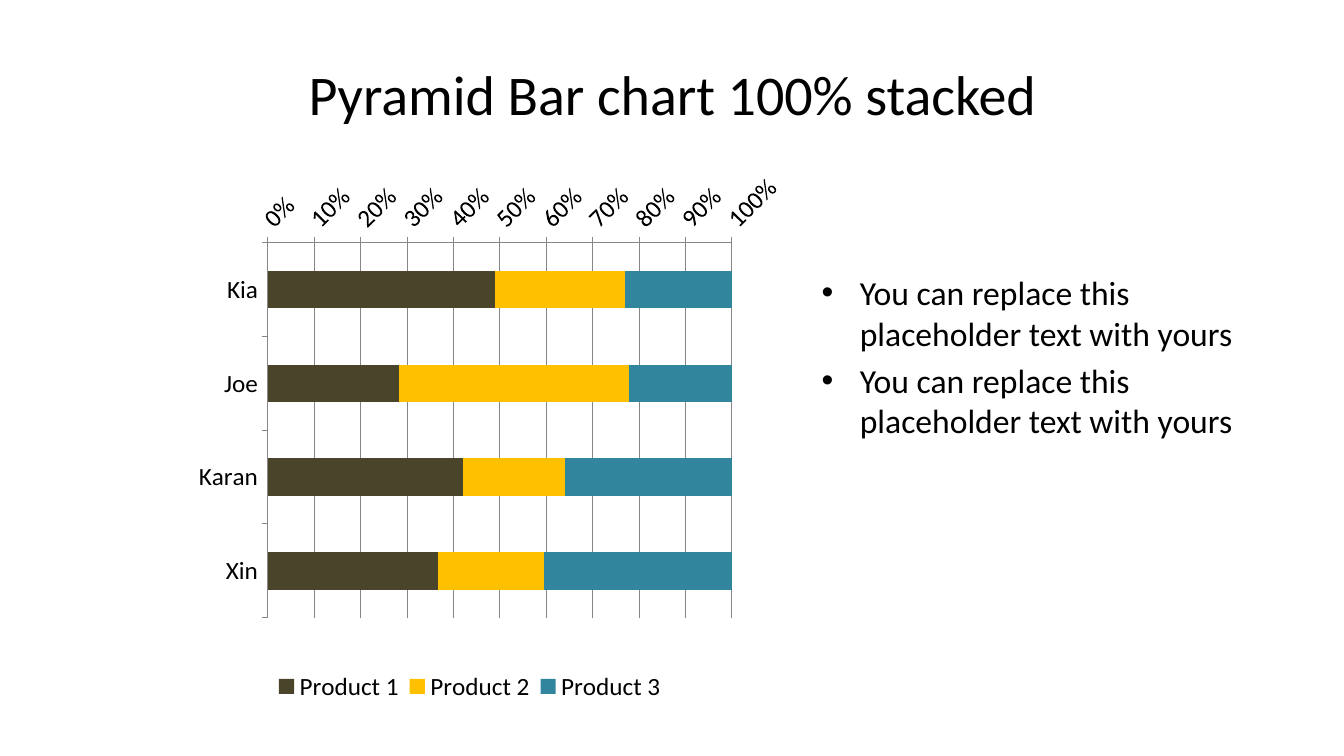
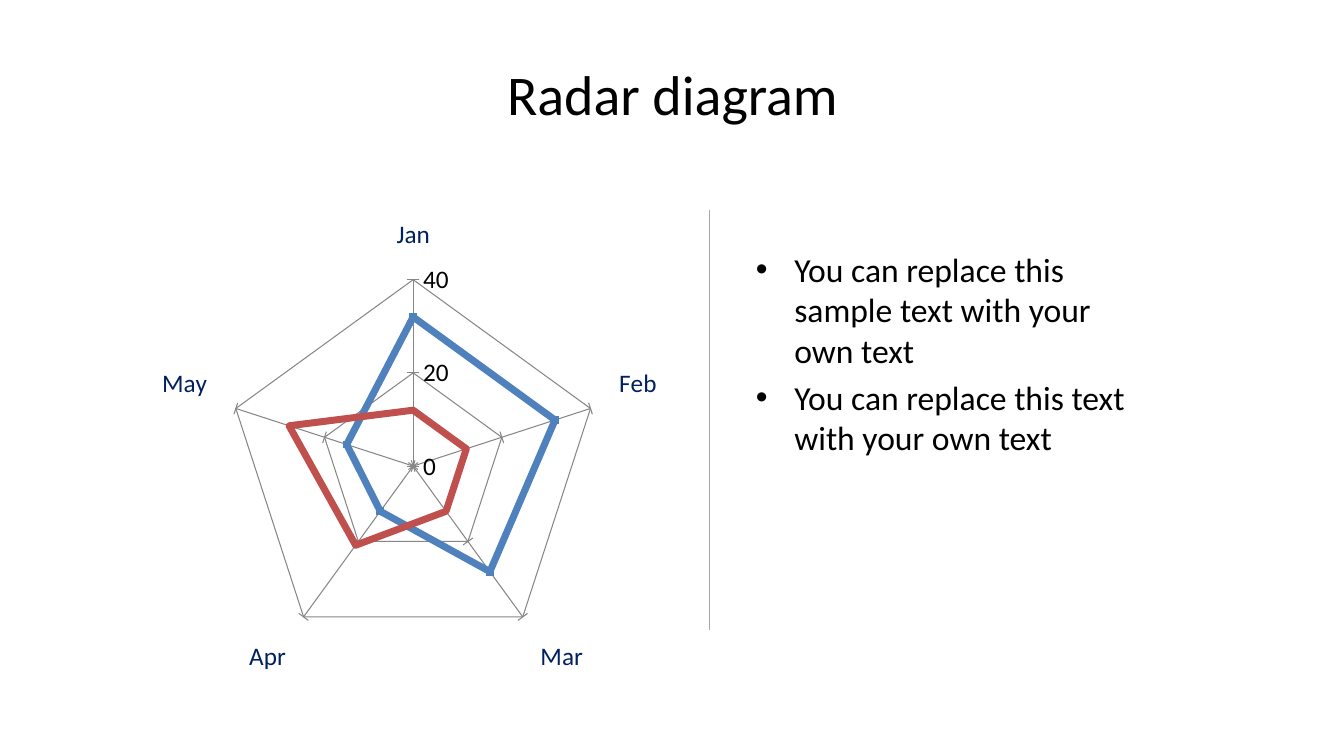
from lxml import etree
from pptx import Presentation
from pptx import util as u
from pptx.chart.data import CategoryChartData
from pptx.dml.color import RGBColor
from pptx.enum import chart as ch, shapes, text
from pptx.oxml.ns import qn

COLORS = {k: RGBColor.from_string(v) for k, v in {
    "black": "000000", "grid": "868686", "divider": "A6A6A6", "navy": "002060",
    "olive": "4A452A", "gold": "FFC000", "teal": "31859C",
    "blue": "4F81BD", "red": "C0504D"}.items()}
FONT = "Calibri"

SLIDES = [
    {"title": "Pyramid Bar chart 100% stacked",
     "points": ["You can replace this placeholder text with yours"] * 2,
     "points_at": (8.05, 2.65, 4.28, 4.12),
     "chart": ch.XL_CHART_TYPE.BAR_STACKED_100,
     "chart_at": (1.19, 1.71, 6.67, 5.31),
     "categories": ["Kia", "Joe", "Karan", "Xin"],
     "series": [("Product 1", (49, 28, 42, 37), "olive"),
                ("Product 2", (28, 49, 22, 23), "gold"),
                ("Product 3", (23, 22, 36, 41), "teal")]},
    {"title": "Radar diagram",
     "points": ["You can replace this sample text with your own text",
                "You can replace this text with your own text"],
     "points_at": (7.4, 2.42, 4.1, 3.83),
     "chart": ch.XL_CHART_TYPE.RADAR_MARKERS,
     "chart_at": (0.55, 2.08, 7.02, 4.68),
     "categories": ["Jan", "Feb", "Mar", "Apr", "May"],
     "series": [("Series 1", (32, 32, 28, 12, 15), "blue"),
                ("Series 2", (12, 12, 12, 21, 28), "red")]},
]


def add_text(slide, at, lines, size, bulleted=False):
    frame = slide.shapes.add_textbox(*map(u.Inches, at)).text_frame
    frame.word_wrap = True
    if not bulleted:
        frame.vertical_anchor = text.MSO_ANCHOR.MIDDLE
    for i, line in enumerate(lines):
        para = frame.paragraphs[0] if i == 0 else frame.add_paragraph()
        para.text = line
        if bulleted:
            if i:
                para.space_before = u.Pt(size * 0.2)
            props = para._p.get_or_add_pPr()
            props.set("marL", str(u.Inches(0.38)))
            props.set("indent", str(u.Inches(-0.38)))
            etree.SubElement(props, qn("a:buFont")).set("typeface", "Arial")
            etree.SubElement(props, qn("a:buChar")).set("char", "•")
        else:
            para.alignment = text.PP_ALIGN.CENTER
        para.font.name, para.font.size = FONT, u.Pt(size)
        para.font.color.rgb = COLORS["black"]


def place(element, index, x, y, w, h, inner=False):
    """Put a manual layout, in fractions of the chart, into a chart part."""
    for old in element.findall(qn("c:layout")):
        element.remove(old)
    layout = etree.Element(qn("c:layout"))
    manual = etree.SubElement(layout, qn("c:manualLayout"))
    settings = [("layoutTarget", "inner")] if inner else []
    settings += [("xMode", "edge"), ("yMode", "edge"),
                 ("x", x), ("y", y), ("w", w), ("h", h)]
    for tag, value in settings:
        etree.SubElement(manual, qn("c:" + tag)).set("val", str(value))
    element.insert(index, layout)


prs = Presentation()
prs.slide_width, prs.slide_height = u.Inches(13.33), u.Inches(7.5)

for content in SLIDES:
    slide = prs.slides.add_slide(prs.slide_layouts[6])
    is_radar = content["chart"] == ch.XL_CHART_TYPE.RADAR_MARKERS

    # Title and bullet points
    add_text(slide, (0.67, 0.3, 12, 1.25), [content["title"]], 40)
    add_text(slide, content["points_at"], content["points"], 24, bulleted=True)

    # Chart with its data and font
    data = CategoryChartData()
    data.categories = content["categories"]
    for name, values, _ in content["series"]:
        data.add_series(name, values)
    chart = slide.shapes.add_chart(
        content["chart"], *map(u.Inches, content["chart_at"]), data).chart
    chart.has_title = False
    chart.has_legend = not is_radar
    chart.font.name, chart.font.size = FONT, u.Pt(18)
    chart.font.color.rgb = COLORS["black"]
    plot = chart.plots[0]
    plot.vary_by_categories = False

    # Axes and gridlines
    names, scale = chart.category_axis, chart.value_axis
    names.has_major_gridlines = is_radar
    scale.has_major_gridlines = True
    for axis in (names, scale):
        axis.major_tick_mark = ch.XL_TICK_MARK.OUTSIDE
        axis.minor_tick_mark = ch.XL_TICK_MARK.NONE
        lines = [axis.format.line]
        if axis.has_major_gridlines:
            lines.append(axis.major_gridlines.format.line)
        for line in lines:
            line.color.rgb, line.width = COLORS["grid"], u.Pt(0.75)
    scale.tick_labels.number_format = "General" if is_radar else "0%"
    scale.tick_labels.number_format_is_linked = False

    # Series colours
    for series, (_, _, color) in zip(plot.series, content["series"]):
        if is_radar:
            series.format.line.color.rgb = COLORS[color]
            series.format.line.width = u.Pt(5)
            series.marker.style = ch.XL_MARKER_STYLE.NONE
        else:
            series.format.fill.solid()
            series.format.fill.fore_color.rgb = COLORS[color]

    if is_radar:
        scale.minimum_scale, scale.maximum_scale, scale.major_unit = 0, 40, 20
        scale.major_tick_mark = ch.XL_TICK_MARK.CROSS
        names.tick_labels.font.size = u.Pt(18)
        names.tick_labels.font.color.rgb = COLORS["navy"]
        first = plot.series[0].marker
        first.style, first.size = ch.XL_MARKER_STYLE.SQUARE, 5
        first.format.fill.solid()
        first.format.fill.fore_color.rgb = COLORS["blue"]

        # Divider between chart and points
        divider = slide.shapes.add_connector(
            shapes.MSO_CONNECTOR.STRAIGHT,
            *map(u.Inches, (7.04, 2.08, 7.04, 6.25)))
        divider.line.color.rgb, divider.line.width = COLORS["divider"], u.Pt(0.5)
        etree.SubElement(divider._element.spPr, qn("a:effectLst"))
    else:
        plot.gap_width, plot.overlap = 150, 100
        names.reverse_order = True
        scale.minimum_scale, scale.maximum_scale, scale.major_unit = 0, 1, 0.1
        scale.tick_labels.font.size = u.Pt(18)
        slant = scale._element.find(qn("c:txPr")).find(qn("a:bodyPr"))
        slant.set("rot", "-2700000")
        place(chart._chartSpace.chart.plotArea, 0, 0.22, 0.12, 0.69, 0.71, inner=True)
        chart.legend.position = ch.XL_LEGEND_POSITION.BOTTOM
        chart.legend.include_in_layout = False
        place(chart.legend._element, 1, 0.22, 0.92, 0.6, 0.08)

prs.save("out.pptx")
